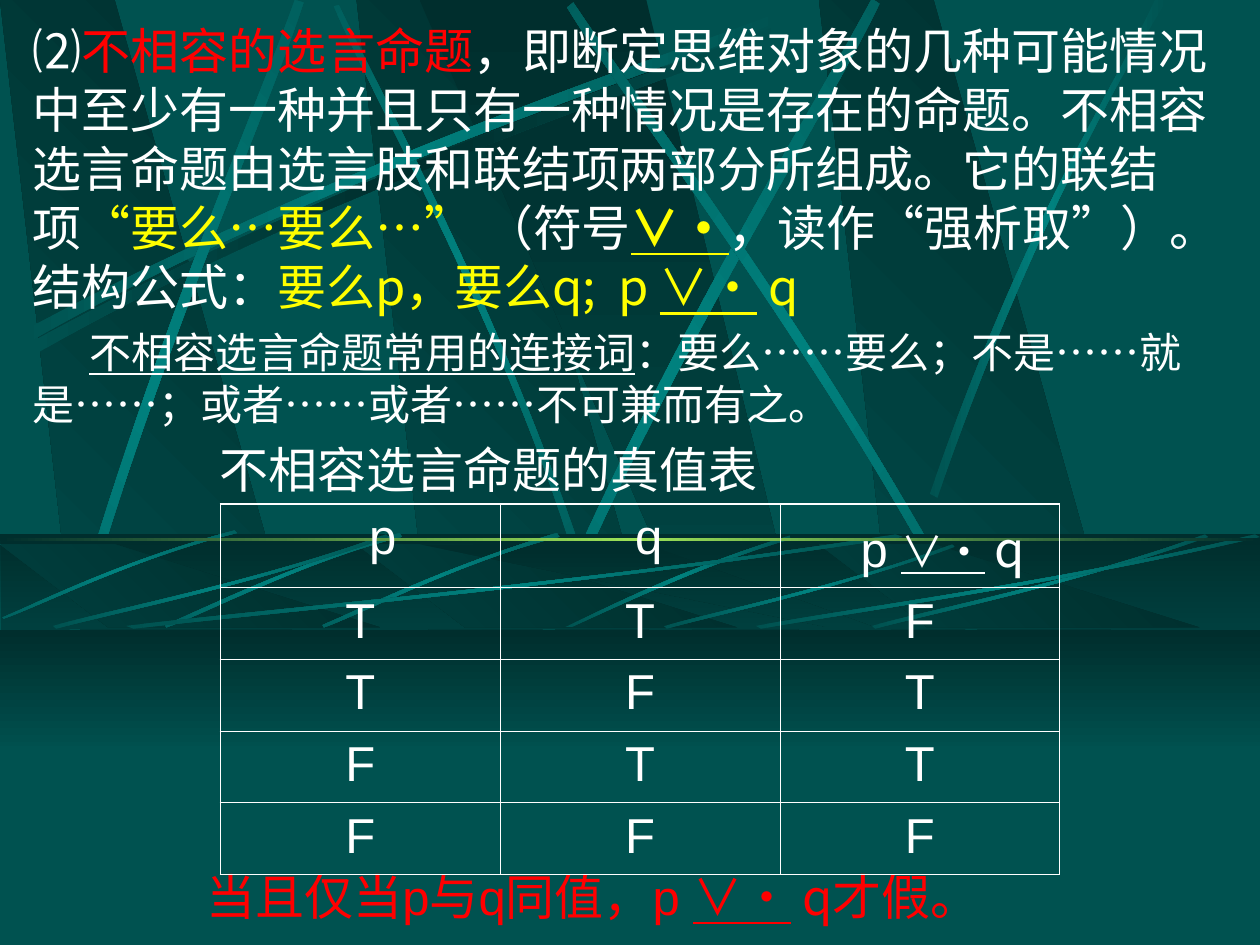
from math import cos, radians, sin

from lxml.etree import SubElement
from pptx import Presentation
from pptx.dml.color import RGBColor
from pptx.enum.lang import MSO_LANGUAGE_ID
from pptx.enum.shapes import MSO_SHAPE
from pptx.enum.text import MSO_ANCHOR, MSO_AUTO_SIZE, PP_ALIGN
from pptx.oxml.ns import qn
from pptx.util import Inches, Pt

COLORS = {"teal": "005250", "dark": "002E2D", "bright": "00817E", "lime": "9CE157",
          "white": "FFFFFF", "red": "FF0000", "yellow": "FFFF00"}
LATIN, CHINESE = "Arial", "Noto Sans CJK SC"


def paint(shape, names, angle=0, alpha=None):
    """Fill with one colour or an evenly spaced gradient, without line or shadow."""
    shape.shadow.inherit = False
    shape.line.fill.background()
    if len(names) == 1:
        shape.fill.solid()
        shape.fill.fore_color.rgb = RGBColor.from_string(COLORS[names[0]])
        if alpha:
            color = shape.element.spPr.find(qn("a:solidFill"))[0]
            SubElement(color, qn("a:alpha"), val=str(alpha * 1000))
        return
    shape.fill.gradient()
    gradient = shape.element.spPr.find(qn("a:gradFill"))
    gradient.set("rotWithShape", "1")
    stops = gradient.find(qn("a:gsLst"))
    for stop in list(stops):
        stops.remove(stop)
    for index, name in enumerate(names):
        position = index * 100000 // (len(names) - 1)
        stop = SubElement(stops, qn("a:gs"), pos=str(position))
        SubElement(stop, qn("a:srgbClr"), val=COLORS[name])
    gradient.find(qn("a:lin")).set("ang", str(angle * 60000))


def add_spans(para, spans):
    """Add (text, size, font, colour, format values) spans to a paragraph."""
    for text, size, font, color, values in spans:
        span = para.add_run()
        span.text = text
        settings = {"size": Pt(size), "name": font, "bold": False,
                    "language_id": MSO_LANGUAGE_ID.SIMPLIFIED_CHINESE, **values}
        for name, value in settings.items():
            setattr(span.font, name, value)
        span.font.color.rgb = RGBColor.from_string(COLORS[color])
        east_asian = SubElement(span.font._element, qn("a:ea"), typeface=CHINESE)
        span.font._element.find(qn("a:latin")).addnext(east_asian)


deck = Presentation()
deck.slide_width, deck.slide_height = Inches(10), Inches(7.5)
slide = deck.slides.add_slide(deck.slide_layouts[0])
shapes = slide.shapes
title = shapes.title.element
title.getparent().remove(title)
slide.background.fill.solid()
slide.background.fill.fore_color.rgb = RGBColor.from_string(COLORS["teal"])

# Backdrop data: slanted panels as x of the corners, curved streaks as
# rotation and two Bezier edges
panels = [((3.69, 5.85, 3.74, 2.83), 135), ((0.86, 3.02, 0.91, 0), 135),
          ((7.36, 9.52, 7.41, 6.5), 135), ((6.58, 6.94, 5.13, 3.33), 90)]
upper_streaks = [
    (0, (0.2, 2.74), (2.84, 1.32), (5.24, 0.57), (6.26, 0.17),
     (6.29, 0.23), (5.28, 0.67), (2.54, 1.5), (0.23, 2.84)),
    (45, (4.6, 4.34), (3.91, 2.33), (3.02, 0.75), (2.69, 0.04),
     (2.65, 0.05), (2.95, 0.77), (3.98, 2.56), (4.54, 4.37)),
    (0, (0.14, 2.65), (2.78, 1.24), (5.18, 0.49), (6.2, 0.09),
     (6.23, 0.15), (5.22, 0.59), (2.48, 1.41), (0.17, 2.75)),
    (311.7, (0.23, 6.23), (0.93, 3.32), (1.97, 1.04), (2.34, 0),
     (2.41, 0.02), (2.07, 1.07), (0.86, 3.66), (0.32, 6.28)),
    (321.6, (3.85, 6.12), (4.98, 3.19), (6.38, 1), (6.92, -0.01),
     (6.98, 0.03), (6.49, 1.06), (4.86, 3.53), (3.94, 6.19)),
    (34.8, (8.06, 5.58), (6.7, 2.92), (5.16, 0.94), (4.55, 0.02),
     (4.5, 0.06), (5.07, 0.99), (6.85, 3.23), (7.99, 5.65)),
    (0, (7.38, 3.92), (8.14, 1.72), (8.88, 0.64), (9.17, -0.01),
     (9.27, -0.01), (8.36, 1.44), (7.69, 3.2), (7.44, 3.95)),
]
lower_streaks = [
    (0, (6.27, 4.25), (5.37, 4.53), (4.77, 4.85), (4.48, 4.98),
     (4.53, 4.98), (4.9, 4.81), (5.71, 4.43), (6.28, 4.28)),
    *[(314.9, *((x + shift, y) for x, y in (
        (4.42, 4.23), (3.55, 4.49), (2.87, 4.83), (2.56, 4.96),
        (2.57, 4.98), (2.88, 4.87), (3.65, 4.46), (4.44, 4.26)))) for shift in (0, -1.25)],
    (314.9, (1.86, 4.21), (0.99, 4.44), (0.33, 4.77), (0.02, 4.9),
     (0.03, 4.91), (0.34, 4.8), (1.09, 4.42), (1.88, 4.23)),
    # Ripples share one outline, stretched from left by width
    *[(0, *((left + width * x, top + (4.99 - top) * y) for x, y in (
        (1, 0.03), (0.57, 0.56), (0.17, 0.84), (0.01, 1),
        (0, 0.97), (0.17, 0.8), (0.62, 0.49), (0.99, 0))))
      for left, top, width in ((1, 4.24, 6.17), (0.42, 4.24, 2.67), (5.27, 4.32, 2.31),
                               (6.92, 4.24, 2.67), (6, 4.24, 4))],
]

# Backdrop: wall above, then floor strip
for top, bottom, streaks in ((0, 7.5, upper_streaks), (4.32, 4.98, lower_streaks)):
    if streaks is lower_streaks:
        strip = shapes.add_shape(MSO_SHAPE.RECTANGLE, 0, Inches(4.24), Inches(10), Inches(0.75))
        paint(strip, ["dark", "teal"], 90)
    for corners, angle in panels:
        points = [(Inches(x), Inches(y)) for x, y in zip(corners, (bottom, bottom, top, top))]
        builder = shapes.build_freeform(*points[0])
        builder.add_line_segments(points[1:])
        paint(builder.convert_to_shape(), ["dark", "teal"], angle)
    if streaks is lower_streaks:
        veil = shapes.add_shape(MSO_SHAPE.RECTANGLE, Inches(0.01), Inches(4.26),
                                Inches(10), Inches(0.75))
        paint(veil, ["dark"], alpha=50)
    for number, (rotation, *controls) in enumerate(streaks):
        # Lay the outline flat, then turn the shape back about its centre
        turn_cos, turn_sin = cos(radians(rotation)), sin(radians(rotation))
        flat = [(x * turn_cos + y * turn_sin, y * turn_cos - x * turn_sin) for x, y in controls]
        center_x, center_y = [(min(values) + max(values)) / 2 for values in zip(*flat)]
        points = [(Inches(x), Inches(y)) for x, y in flat]
        builder = shapes.build_freeform(*points[0])
        builder.add_line_segments(points[1:])
        streak = builder.convert_to_shape()
        streak.left += Inches(center_x * turn_cos - center_y * turn_sin - center_x)
        streak.top += Inches(center_x * turn_sin + center_y * turn_cos - center_y)
        streak.rotation = rotation
        # Join three straight segments into one Bezier curve on each edge
        segments = list(streak.element.iter(qn("a:lnTo")))
        for edge in (segments[:3], segments[4:7]):
            outline = edge[0].getparent()
            curve = SubElement(outline, qn("a:cubicBezTo"))
            edge[0].addprevious(curve)
            for segment in edge:
                curve.append(segment[0])
                outline.remove(segment)
        shadow_streak = streaks is upper_streaks and number == 0
        paint(streak, ["teal", "dark" if shadow_streak else "bright", "teal"], 180)

# Horizon line and ground
for top, height, names, angle in ((4.27, 0.02, ["dark", "lime", "dark"], 180),
                                  (5, 1, ["dark", "teal"], 90), (5.92, 1.58, ["teal"], 0)):
    band = shapes.add_shape(MSO_SHAPE.RECTANGLE, 0, Inches(top), Inches(10), Inches(height))
    paint(band, names, angle)

# Body text, above the backdrop
body = slide.placeholders[1]
shapes.element.append(body.element)
for name, value in {"left": 0.17, "top": 0, "width": 9.83, "height": 7.5}.items():
    setattr(body, name, Inches(value))
frame = body.text_frame
for name, value in {"word_wrap": True, "auto_size": MSO_AUTO_SIZE.NONE,
                    "vertical_anchor": MSO_ANCHOR.TOP, "margin_top": Inches(0.16),
                    "margin_left": Inches(0.09), "margin_right": Inches(0.1)}.items():
    setattr(frame, name, value)
underlined = {"underline": True}
paragraphs = [  # space before, line height, first-line indent, spans
    (0, 33.8, 0, [
        ("⑵", 28, LATIN, "white", {}), ("不相容的选言命题", 28, LATIN, "red", {}),
        ("，", 28, LATIN, "white", {}),
        ("即断定思维对象的几种可能情况中至少有一种并且只有一种情况是存在的命题。"
         "不相容选言命题由选言肢和联结项两部分所组成。它的联结项", 28, CHINESE, "white", {}),
        ("“要么…要么…”", 28, CHINESE, "yellow", {}), (" （符号", 28, CHINESE, "white", {}),
        ("∨·", 28, CHINESE, "yellow", {"bold": True, "underline": True}),
        ("，读作“强析取”）。结构公式：", 28, CHINESE, "white", {}),
        ("要么p，要么q;  p ", 28, CHINESE, "yellow", {}),
        ("∨·", 28, CHINESE, "yellow", underlined), (" q", 28, CHINESE, "yellow", {})]),
    (5, 29.7, 0.45, [
        ("不相容选言命题常用的连接词", 24, CHINESE, "white", underlined),
        ("：要么……要么；不是……就是……；或者……或者……不可兼而有之。", 24, CHINESE, "white", {})]),
    (6, 33.8, 1.48, [("不相容选言命题的真值表", 28, LATIN, "white", {})]),
    (210.5, 33.8, 1.38, [
        ("当且仅当p与q同值，p ", 28, LATIN, "red", {}),
        ("∨·", 28, CHINESE, "red", underlined), (" q才假。", 28, CHINESE, "red", {})]),
]
for index, (before, line_height, indent, spans) in enumerate(paragraphs):
    para = frame.add_paragraph() if index else frame.paragraphs[0]
    para.alignment = PP_ALIGN.LEFT
    para.space_before, para.line_spacing = Pt(before), Pt(line_height)
    para._p.get_or_add_pPr().set("indent", str(Inches(indent)))
    add_spans(para, spans)

# Truth table
header = [(1.08, [("p", 28, LATIN, "white", {})]), (0.97, [("q", 28, LATIN, "white", {})]),
          (0.54, [("p ", 28, LATIN, "white", {}), ("∨·", 24, CHINESE, "white", underlined),
                  (" ", 24, CHINESE, "white", {}), ("q", 28, CHINESE, "white", {})])]
truth_rows = ["TTF", "TFT", "FTT", "FFF"]
table = shapes.add_table(5, 3, Inches(1.75), Inches(4), Inches(6.66), Inches(2.94)).table
table.first_row = table.horz_banding = False
for column in table.columns:
    column.width = Inches(2.22)
for row_index, row in enumerate(table.rows):
    row.height = Inches(0.57 if row_index else 0.66)
    for column_index, cell in enumerate(row.cells):
        cell.vertical_anchor = MSO_ANCHOR.TOP
        para = cell.text_frame.paragraphs[0]
        if row_index:
            para.alignment = PP_ALIGN.CENTER
            letter = truth_rows[row_index - 1][column_index]
            add_spans(para, [(letter, 28, LATIN, "white", {})])
        else:
            indent, spans = header[column_index]
            para._p.get_or_add_pPr().set("indent", str(Inches(indent)))
            add_spans(para, spans)
        outer = {"L": column_index == 0, "R": column_index == 2,
                 "T": row_index == 0, "B": row_index == 4}
        for side, is_outer in outer.items():
            border = SubElement(cell._tc.get_or_add_tcPr(), qn("a:ln" + side),
                                w=str(Pt(1.08 if is_outer else 0.45)))
            SubElement(SubElement(border, qn("a:solidFill")), qn("a:srgbClr"),
                       val=COLORS["white"])
        cell.fill.background()

deck.save("out.pptx")
